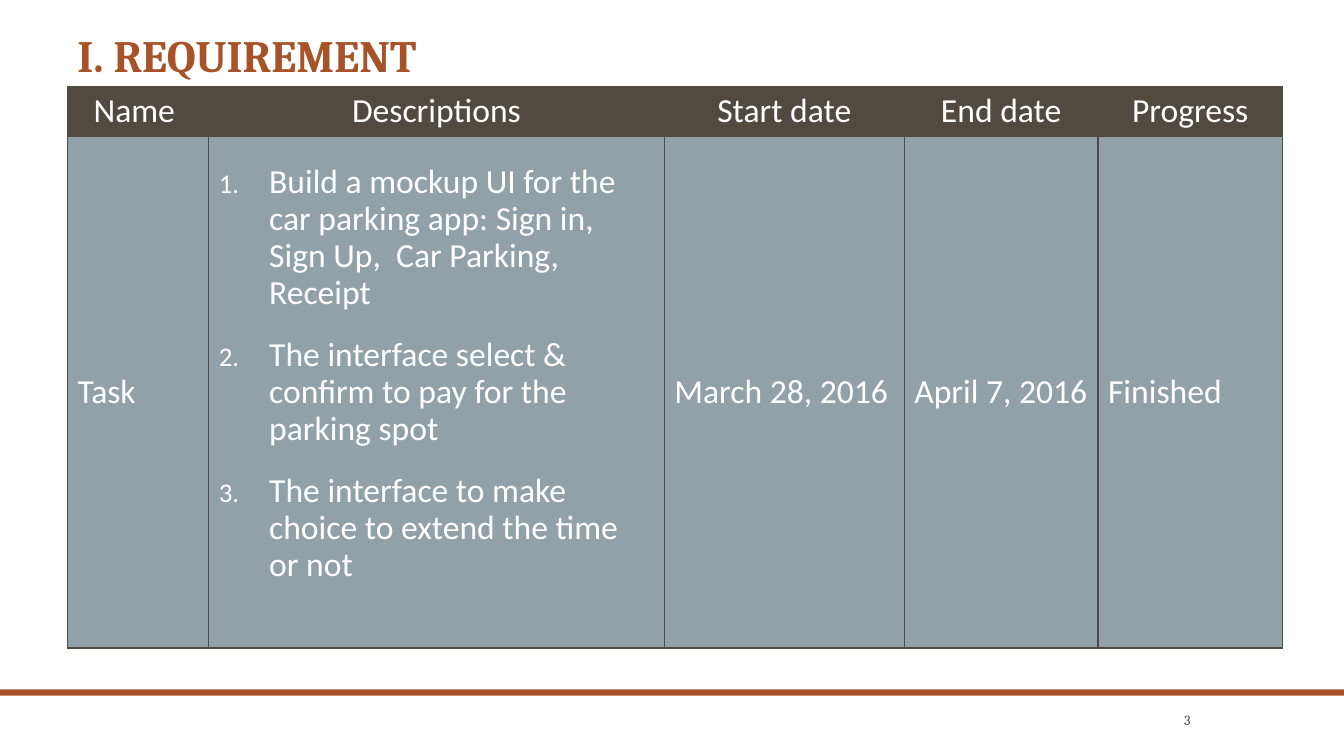
from dataclasses import dataclass

from lxml.etree import SubElement
from pptx import Presentation
from pptx.dml.color import RGBColor
from pptx.enum.shapes import MSO_SHAPE
from pptx.enum.text import MSO_ANCHOR, PP_ALIGN
from pptx.oxml import parse_xml
from pptx.oxml.ns import nsdecls, qn
from pptx.util import Cm, Pt

RUST, BROWN, SLATE, WHITE = "A85229", "514A40", "90A2A7", "FFFFFF"


@dataclass
class Label:
    text: str
    left: float
    top: float
    width: float
    height: float
    size: int
    color: str
    bold: bool = False
    align: PP_ALIGN = PP_ALIGN.LEFT
    anchor: MSO_ANCHOR = MSO_ANCHOR.MIDDLE


@dataclass
class Column:
    heading: str
    width: float
    items: list[str]
    numbered: bool = False


LABELS = [
    Label("I. REQUIREMENT", 1.7, 0.46, 26.64, 1.73, 32, RUST, True,
          anchor=MSO_ANCHOR.BOTTOM),
    Label("3", 28.32, 17.83, 1.93, 0.66, 10, BROWN, align=PP_ALIGN.RIGHT),
]

COLUMNS = [
    Column("Name ", 3.56, ["Task"]),
    Column("Descriptions", 11.48, [
        "Build a mockup UI for the car parking app: Sign in, Sign Up,  Car Parking, Receipt",
        "The interface select & confirm to pay for the parking spot",
        "The interface to make choice to extend the time or not",
    ], numbered=True),
    Column("Start date", 6.05, ["March 28, 2016"]),
    Column("End date", 4.88, ["April 7, 2016"]),
    Column("Progress", 4.65, ["Finished"]),
]
ROW_HEIGHTS = [1.25, 12.9]


def rgb(color: str) -> RGBColor:
    return RGBColor.from_string(color)


def add_run(p, text: str, font: str, size: int, color: str, bold: bool = False) -> None:
    r = p.add_run()
    r.text = text
    r.font.name = font
    r.font.size = Pt(size)
    r.font.bold = bold
    r.font.color.rgb = rgb(color)


def add_label(s, label: Label) -> None:
    box = s.shapes.add_textbox(Cm(label.left), Cm(label.top),
                               Cm(label.width), Cm(label.height))
    tf = box.text_frame
    tf.word_wrap = True
    tf.vertical_anchor = label.anchor
    p = tf.paragraphs[0]
    p.alignment = label.align
    p.line_spacing = 0.9
    add_run(p, label.text, "Cambria", label.size, label.color, label.bold)


def number_paragraph(p) -> None:
    pPr = p._p.get_or_add_pPr()
    pPr.set("marL", str(Cm(1.27)))
    pPr.set("indent", str(Cm(-1.27)))
    color = SubElement(pPr, qn("a:buClr"))
    SubElement(color, qn("a:srgbClr")).set("val", WHITE)
    SubElement(pPr, qn("a:buSzPct")).set("val", "80000")
    SubElement(pPr, qn("a:buAutoNum")).set("type", "arabicPeriod")


def set_borders(cell, color: str) -> None:
    tcPr = cell._tc.get_or_add_tcPr()
    for i, side in enumerate("LRTB"):
        tcPr.insert(i, parse_xml(
            f'<a:ln{side} {nsdecls("a")} w="{Pt(1)}"><a:solidFill>'
            f'<a:srgbClr val="{color}"/></a:solidFill></a:ln{side}>'))


def fill_cell(cell, items: list[str], fill: str, align: PP_ALIGN,
              numbered: bool = False) -> None:
    cell.fill.solid()
    cell.fill.fore_color.rgb = rgb(fill)
    set_borders(cell, BROWN)
    cell.vertical_anchor = MSO_ANCHOR.MIDDLE
    if numbered:
        cell.margin_bottom = Cm(1.03)  # lifts the list above the middle
    tf = cell.text_frame
    for i, item in enumerate(items):
        p = tf.add_paragraph() if i else tf.paragraphs[0]
        if numbered:
            number_paragraph(p)
        p.alignment = align
        p.line_spacing = 0.9
        if i:
            p.space_before = Pt(18)
        add_run(p, item, "Calibri", 24, WHITE)


def add_task_table(s) -> None:
    width = sum(column.width for column in COLUMNS)
    table = s.shapes.add_table(len(ROW_HEIGHTS), len(COLUMNS), Cm(1.7), Cm(2.18),
                               Cm(width), Cm(sum(ROW_HEIGHTS))).table
    for row, height in zip(table.rows, ROW_HEIGHTS):
        row.height = Cm(height)
    for i, column in enumerate(COLUMNS):
        table.columns[i].width = Cm(column.width)
        fill_cell(table.cell(0, i), [column.heading], BROWN, PP_ALIGN.CENTER)
        fill_cell(table.cell(1, i), column.items, SLATE, PP_ALIGN.LEFT, column.numbered)


def main() -> None:
    prs = Presentation()
    prs.slide_width, prs.slide_height = Cm(33.87), Cm(19.05)
    s = prs.slides.add_slide(prs.slide_layouts[6])

    # Footer bar
    bar = s.shapes.add_shape(MSO_SHAPE.RECTANGLE, 0, Cm(17.37), prs.slide_width, Cm(0.16))
    bar.shadow.inherit = False
    bar.fill.solid()
    bar.fill.fore_color.rgb = rgb(RUST)
    bar.line.fill.background()

    # Title and slide number
    for label in LABELS:
        add_label(s, label)

    # Task table
    add_task_table(s)

    prs.save("out.pptx")


if __name__ == "__main__":
    main()
